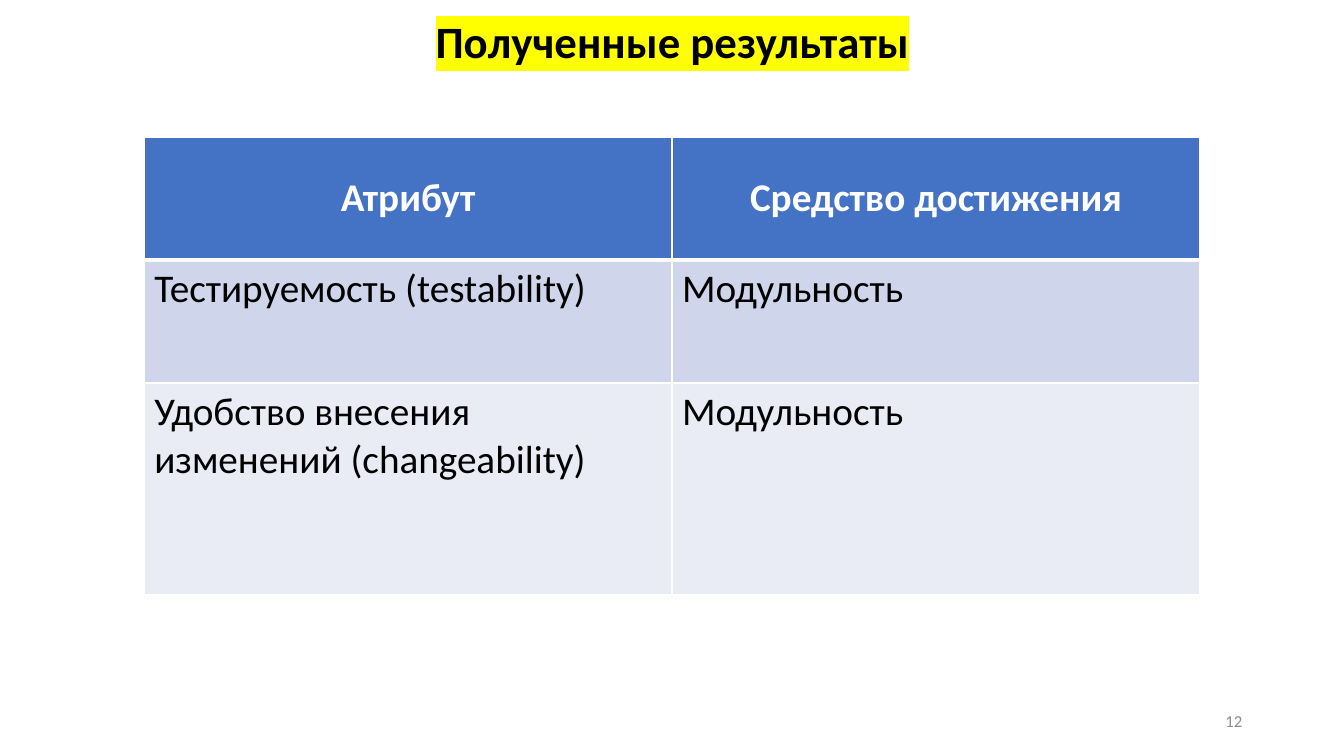
from lxml import etree
from pptx import Presentation
from pptx.dml.color import RGBColor
from pptx.enum.text import MSO_ANCHOR, MSO_AUTO_SIZE, PP_ALIGN
from pptx.oxml.ns import qn
from pptx.util import Inches, Pt

LEFT, CENTER, RIGHT = PP_ALIGN.LEFT, PP_ALIGN.CENTER, PP_ALIGN.RIGHT
TOP, MIDDLE = MSO_ANCHOR.TOP, MSO_ANCHOR.MIDDLE
NO_AUTOFIT = MSO_AUTO_SIZE.NONE

BLACK = RGBColor(0x00, 0x00, 0x00)
WHITE = RGBColor(0xFF, 0xFF, 0xFF)
GRAY = RGBColor(0x8C, 0x8C, 0x8C)
YELLOW = RGBColor(0xFF, 0xFF, 0x00)
BLUE = RGBColor(0x44, 0x72, 0xC4)
BAND_DARK = RGBColor(0xCF, 0xD5, 0xEA)
BAND_LIGHT = RGBColor(0xE9, 0xEB, 0xF5)

TITLE_ONLY = 5
ROWS = [
    ("Атрибут", "Средство достижения"),
    ("Тестируемость (testability)", "Модульность"),
    ("Удобство внесения изменений (changeability)", "Модульность"),
]
FILLS = [BLUE, BAND_DARK, BAND_LIGHT]
HEIGHTS = [16.27, 16.27, 28]


class SlideBuilder:
    """Places elements by percentages of the slide's width and height."""

    font_name = "Calibri"

    def __init__(self, prs):
        self.width, self.height = prs.slide_width, prs.slide_height
        self.s = prs.slides.add_slide(prs.slide_layouts[TITLE_ONLY])

    def x(self, share):
        return round(self.width * share / 100)

    def y(self, share):
        return round(self.height * share / 100)

    def box(self, left, top, width, height):
        return self.x(left), self.y(top), self.x(width), self.y(height)

    def put_text(self, tf, text, size, color, bold=False, align=LEFT):
        p = tf.paragraphs[0]
        p.alignment = align
        r = p.add_run()
        r.text = text
        font = p.font
        font.name, font.size, font.bold = self.font_name, Pt(size), bold
        font.color.rgb = color
        return p

    def title(self, text, place, highlight):
        sp = self.s.shapes.title
        sp.left, sp.top, sp.width, sp.height = self.box(*place)
        tf = sp.text_frame
        tf.auto_size, tf.vertical_anchor = NO_AUTOFIT, MIDDLE
        p = self.put_text(tf, text, 32, BLACK, True, CENTER)
        p.line_spacing = 0.9
        rPr = p.runs[0]._r.get_or_add_rPr()
        mark = etree.SubElement(rPr, qn("a:highlight"))
        etree.SubElement(mark, qn("a:srgbClr"), val=str(highlight))

    def label(self, text, place, size, color, align):
        tf = self.s.shapes.add_textbox(*self.box(*place)).text_frame
        tf.word_wrap, tf.vertical_anchor = True, MIDDLE
        self.put_text(tf, text, size, color, align=align)

    def borders(self, cell, top, bottom):
        tcPr = cell._tc.get_or_add_tcPr()
        widths = {"lnL": 1, "lnR": 1, "lnT": top, "lnB": bottom}
        for side, width in widths.items():
            ln = etree.SubElement(tcPr, qn(f"a:{side}"), w=str(Pt(width)))
            fill = etree.SubElement(ln, qn("a:solidFill"))
            etree.SubElement(fill, qn("a:srgbClr"), val=str(WHITE))

    def table(self, rows, left, top, width, heights, fills):
        place = self.box(left, top, width, sum(heights))
        table = self.s.shapes.add_table(len(rows), len(rows[0]), *place).table
        for i, (texts, height, fill) in enumerate(zip(rows, heights, fills)):
            header = i == 0
            table.rows[i].height = self.y(height)
            for cell, text in zip(table.rows[i].cells, texts):
                # The thick rule under the header is shared with the next row
                self.borders(cell, 3 if i == 1 else 1, 3 if header else 1)
                cell.fill.solid()
                cell.fill.fore_color.rgb = fill
                cell.vertical_anchor = MIDDLE if header else TOP
                self.put_text(cell.text_frame, text, 28,
                              WHITE if header else BLACK, header,
                              CENTER if header else LEFT)


def main():
    prs = Presentation()
    prs.slide_width, prs.slide_height = Inches(13.33), Inches(7.5)
    slide = SlideBuilder(prs)

    # Title
    slide.title("Полученные результаты", (6.9, 0.53, 86.27, 10.67), YELLOW)

    # Attributes and the means of achieving them
    slide.table(ROWS, 10.73, 18.13, 78.54, HEIGHTS, FILLS)

    # Slide number
    slide.label("12", (70.67, 92.67, 22.5, 5.33), 12, GRAY, RIGHT)

    prs.save("out.pptx")


if __name__ == "__main__":
    main()
